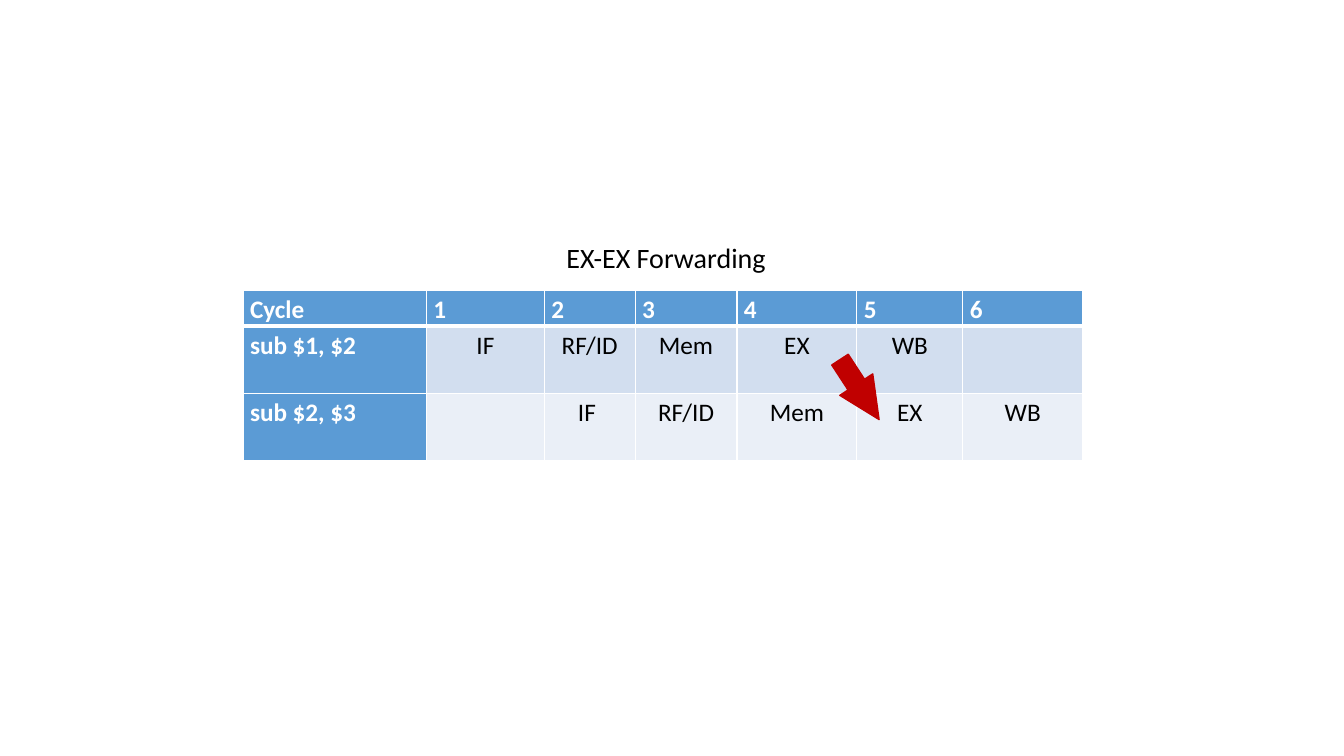
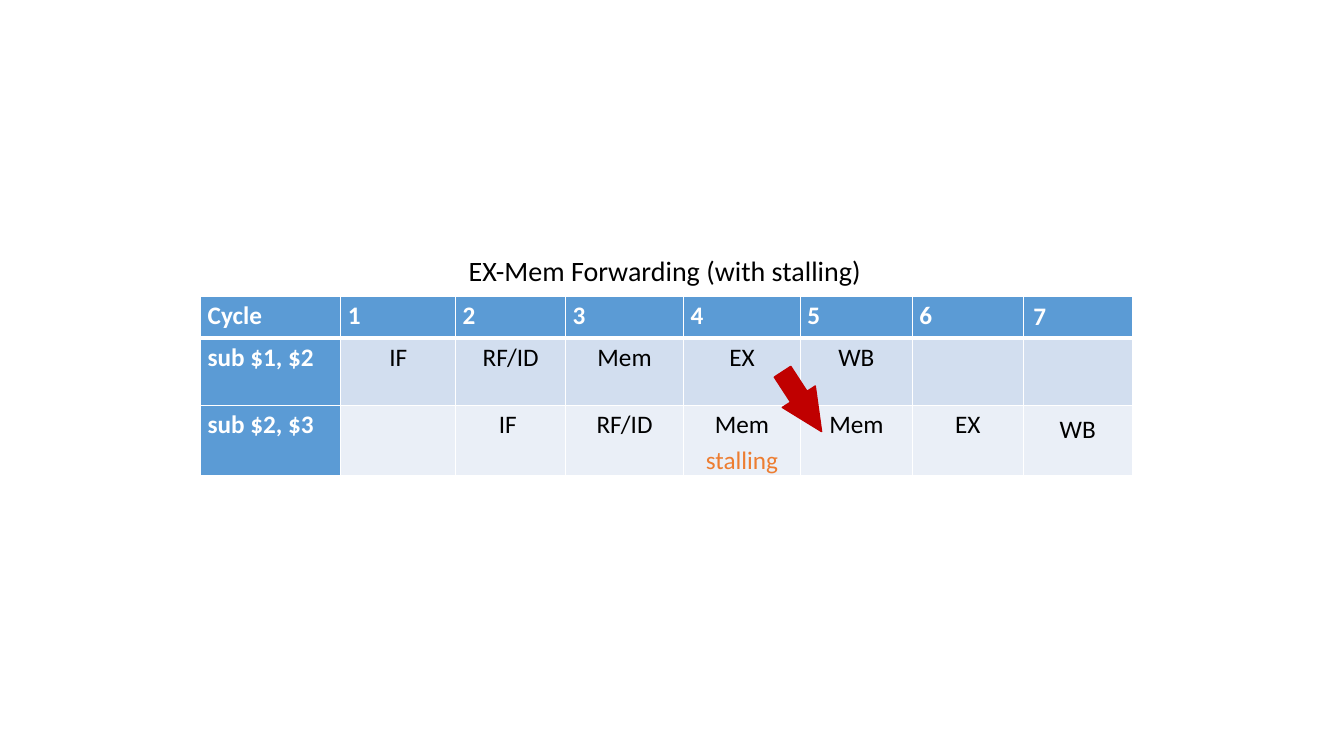
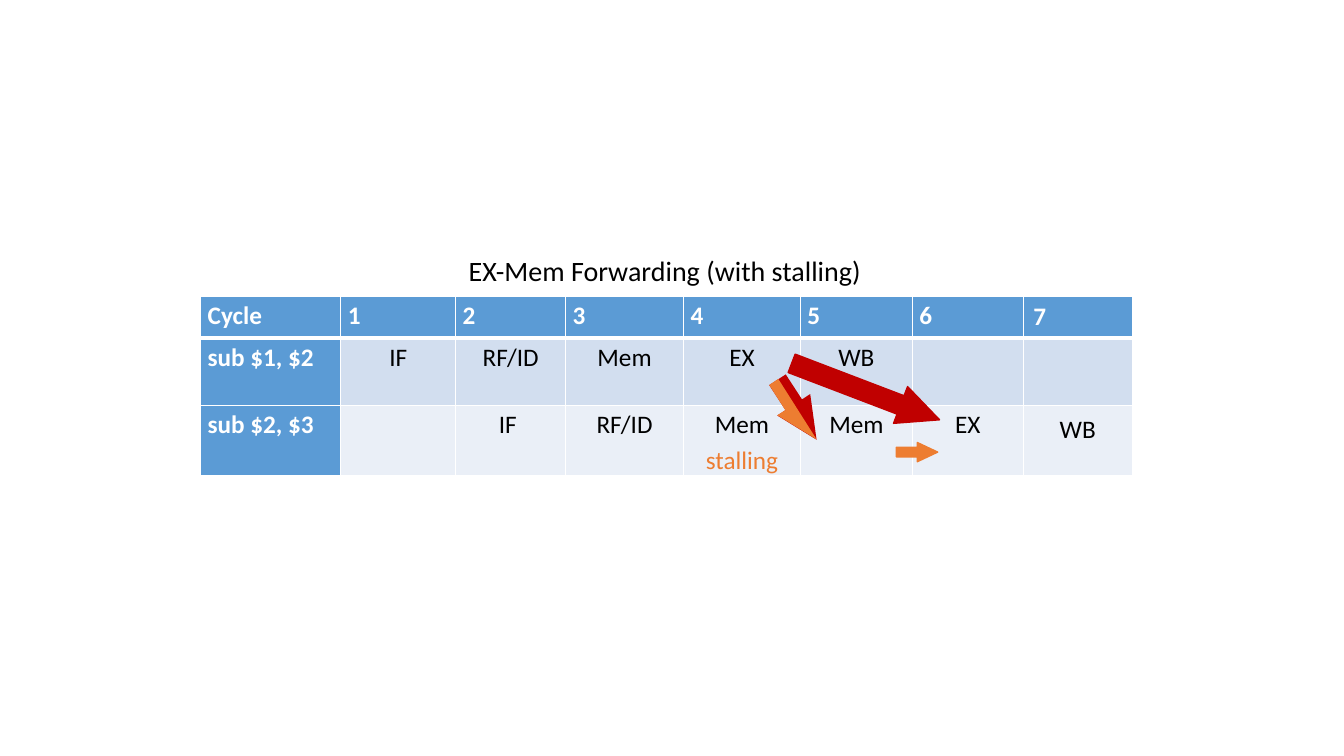
"""Build three slides on pipeline forwarding between two instructions."""
import pptx
import pptx.dml.color
import pptx.enum.shapes
import pptx.enum.text
import pptx.oxml
import pptx.oxml.ns
import pptx.util

Inches = pptx.util.Inches
Pt = pptx.util.Pt

FONT = "Calibri"
WHITE, BLACK = "FFFFFF", "000000"
BLUE, RED, ORANGE = "5B9BD5", "C00000", "ED7D31"
ROW_FILLS = [BLUE, "D2DEEF", "EAEFF7"]
BORDER = '<a:{} {} w="{}"><a:solidFill><a:srgbClr val="{}"/></a:solidFill></a:{}>'


def rgb(value):
    return pptx.dml.color.RGBColor.from_string(value)


def style_text(frame, size, color, bold=False):
    for para in frame.paragraphs:
        for span in para.runs:
            span.font.name = FONT
            span.font.size = Pt(size)
            span.font.bold = bold
            span.font.color.rgb = rgb(ORANGE if span.text == "stalling" else color)


sub_first = ["sub $1, $2", "IF", "RF/ID", "Mem", "EX", "WB"]
direct = {
    "title": "EX-EX Forwarding",
    "title_at": (5.52, 2.34, 2.26),
    "table_at": (2.41, 2.88),
    "columns": [1.82, 1.17, 0.9, 1.01, 1.19, 1.05, 1.19],
    "heights": [0.35, 0.67, 0.67],
    "rows": [sub_first + [""],
             ["sub $2, $3", "", "IF ", "RF/ID", "Mem", "EX", "WB"]],
    "arrows": [(8.17, 3.67, 0.71, 0.39, 56.9, RED)],
}
stalled = {
    "title": "EX-Mem Forwarding (with stalling)",
    "title_at": (4.55, 2.47, 4.11),
    "table_at": (1.99, 2.94),
    "columns": [1.39, 1.14, 1.09, 1.17, 1.16, 1.11, 1.1, 1.08],
    "heights": [0.41, 0.67, 0.7],
    "rows": [sub_first + ["", ""],
             ["sub $2, $3", "", "IF ", "RF/ID", "Mem\nstalling", "Mem", "EX", "WB"]],
    "arrows": [(7.6, 3.79, 0.71, 0.39, 56.9, RED)],
}
split = {
    **stalled,
    "arrows": [(7.8, 3.69, 1.57, 0.39, 20.9, RED),
               (8.89, 4.39, 0.41, 0.19, 0, ORANGE),
               (7.55, 3.87, 0.71, 0.39, 56.9, RED)],
}

deck = pptx.Presentation()
deck.slide_width = Inches(13.33)
deck.slide_height = Inches(7.5)

for diagram in (direct, stalled, split):
    page = deck.slides.add_slide(deck.slide_layouts[6])
    columns, heights = diagram["columns"], diagram["heights"]
    left, top = diagram["table_at"]
    table = page.shapes.add_table(
        len(heights), len(columns), Inches(left), Inches(top),
        Inches(sum(columns)), Inches(sum(heights))).table
    table.first_row = table.horz_banding = False
    for column, width in zip(table.columns, columns):
        column.width = Inches(width)
    for row, height in zip(table.rows, heights):
        row.height = Inches(height)

    header = ["Cycle"] + [str(cycle) for cycle in range(1, len(columns))]
    for r, texts in enumerate([header] + diagram["rows"]):
        for c, text in enumerate(texts):
            cell = table.cell(r, c)
            heading = r == 0 or c == 0
            border_widths = {"lnL": 1, "lnR": 1, "lnT": 3 if r == 1 else 1, "lnB": 3 if r == 0 else 1}
            properties = cell._tc.get_or_add_tcPr()
            for side, points in border_widths.items():
                properties.append(pptx.oxml.parse_xml(BORDER.format(
                    side, pptx.oxml.ns.nsdecls("a"), Pt(points), WHITE, side)))
            cell.fill.solid()
            cell.fill.fore_color.rgb = rgb(BLUE if heading else ROW_FILLS[r])
            if c < 7:
                cell.margin_left = cell.margin_right = Inches(0.07)
                cell.margin_top = cell.margin_bottom = 0
            cell.text_frame.text = text
            style_text(cell.text_frame, 18, WHITE if heading else BLACK, heading)
            for para in cell.text_frame.paragraphs:
                if text != "7":
                    para.line_spacing = 1.15
                if not heading:
                    para.alignment = pptx.enum.text.PP_ALIGN.CENTER

    left, top, width = diagram["title_at"]
    title = page.shapes.add_textbox(Inches(left), Inches(top), Inches(width), Inches(0.44))
    title.text_frame.word_wrap = True
    title.text_frame.text = diagram["title"]
    style_text(title.text_frame, 20, BLACK)

    for left, top, width, height, angle, color in diagram["arrows"]:
        arrow = page.shapes.add_shape(
            pptx.enum.shapes.MSO_SHAPE.RIGHT_ARROW,
            Inches(left), Inches(top), Inches(width), Inches(height))
        arrow.adjustments[0] = 0.5
        arrow.adjustments[1] = 1.06
        arrow.rotation = angle
        arrow.shadow.inherit = False
        arrow.fill.solid()
        arrow.fill.fore_color.rgb = rgb(color)
        arrow.line.color.rgb = rgb(color)
        arrow.line.width = Pt(1)

arrow.line.fill.background()
outline = [(7.63, 3.82), (7.79, 4.07), (7.71, 4.12), (8.1, 4.36), (7.72, 3.76)]
points = [(Inches(x), Inches(y)) for x, y in outline]
builder = page.shapes.build_freeform(*points[0])
builder.add_line_segments(points[1:], close=True)
half_arrow = builder.convert_to_shape()
half_arrow.shadow.inherit = False
half_arrow.fill.solid()
half_arrow.fill.fore_color.rgb = rgb(ORANGE)
half_arrow.line.fill.background()

deck.save("out.pptx")
